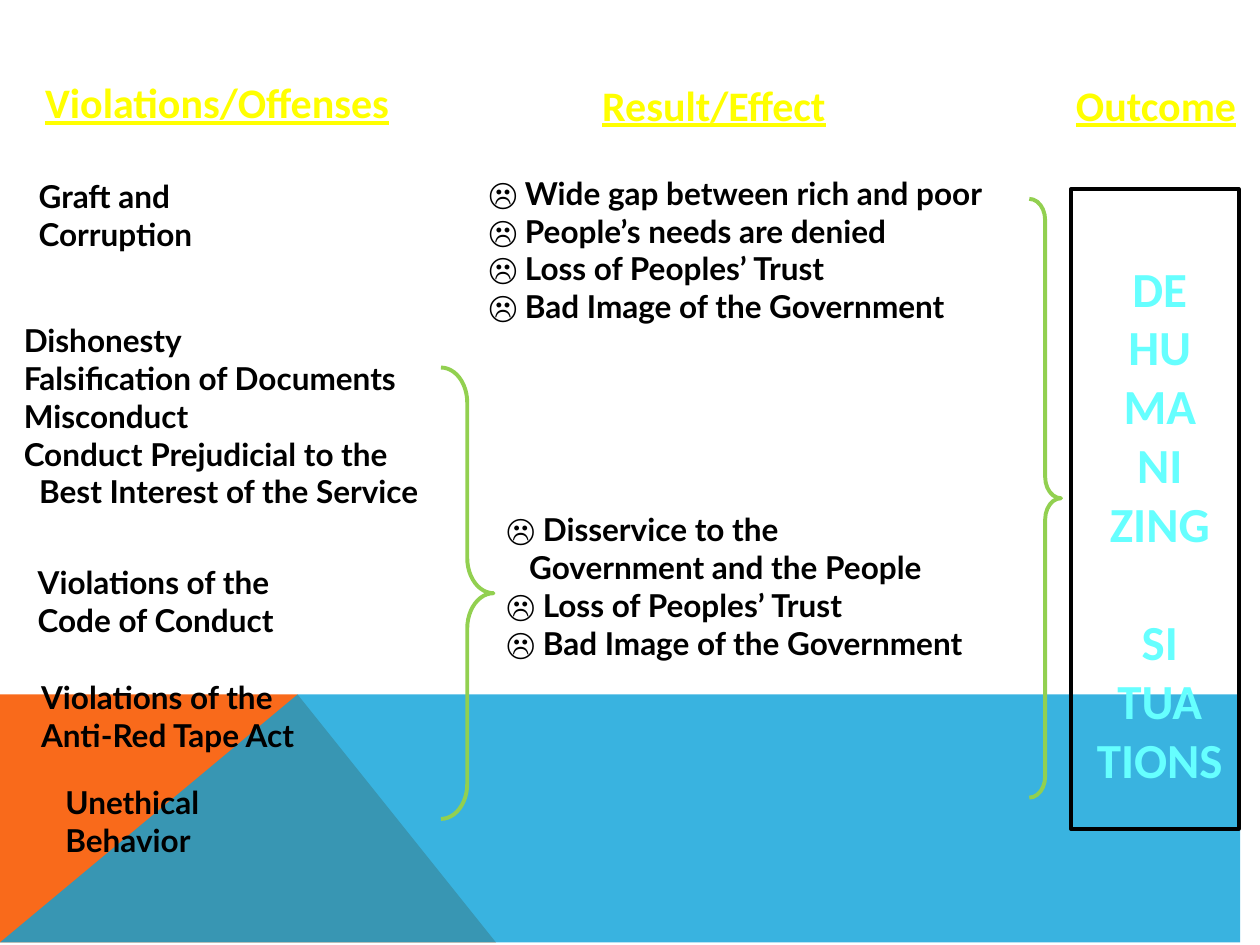
"""Build the slide on violations, their effects and their outcome."""
from dataclasses import dataclass, field

from lxml import etree
from pptx import Presentation
from pptx.dml.color import RGBColor
from pptx.enum.shapes import MSO_SHAPE
from pptx.enum.text import MSO_AUTO_SIZE, PP_ALIGN
from pptx.oxml.ns import qn
from pptx.util import Cm, Pt

BLACK = RGBColor(0x00, 0x00, 0x00)
YELLOW = RGBColor(0xFF, 0xFF, 0x00)
CYAN = RGBColor(0x66, 0xFF, 0xFF)
GREEN = RGBColor(0x92, 0xD0, 0x50)
ORANGE = RGBColor(0xF9, 0x6A, 0x1B)
BLUE = RGBColor(0x08, 0xA1, 0xD9)

RECTANGLE = MSO_SHAPE.RECTANGLE
RIGHT_BRACE = MSO_SHAPE.RIGHT_BRACE
FIT_SHAPE = MSO_AUTO_SIZE.SHAPE_TO_FIT_TEXT
LEFT = PP_ALIGN.LEFT
CENTER = PP_ALIGN.CENTER

WIDTH, HEIGHT, FLOOR_TOP, PEAK = 25.4, 19.05, 14.02, 5.66
SAD = "☹"


@dataclass(frozen=True)
class Style:
    font: str
    size: int
    color: RGBColor
    underline: bool = False
    align: PP_ALIGN = LEFT


@dataclass(frozen=True)
class Block:
    box: tuple[float, float, float, float]
    lines: tuple[str, ...]
    style: Style
    wrap: bool = False
    indents: dict[int, float] = field(default_factory=dict)
    gaps: dict[int, float] = field(default_factory=dict)


HEADING = Style("Calibri", 24, YELLOW, underline=True)
BODY = Style("Lato", 18, BLACK)
OUTCOME = Style("Calibri", 28, CYAN, align=CENTER)

BLOCKS = (
    Block((0.66, 1.42, 7.47, 1.27), ("Violations/Offenses",), HEADING),
    Block((11.89, 1.47, 5.05, 1.27), ("Result/Effect",), HEADING),
    Block((21.44, 1.47, 3.76, 1.27), ("Outcome",), HEADING),
    Block((0.53, 3.45, 3.96, 1.78), ("Graft and", "Corruption"), BODY),
    Block((0.23, 6.35, 9.42, 4.06),
          ("Dishonesty", "Falsification of Documents", "Misconduct",
           "Conduct Prejudicial to the", "Best Interest of the Service"),
          BODY, indents={4: 0.31}),
    Block((0.51, 11.23, 5.87, 1.78), ("Violations of the", "Code of Conduct"), BODY),
    Block((0.58, 13.54, 6.12, 1.78), ("Violations of the", "Anti-Red Tape Act"), BODY),
    Block((1.07, 15.67, 5.08, 1.78), ("Unethical", "Behavior"), BODY, wrap=True),
    Block((9.6, 3.38, 11.63, 3.3),
          (f"{SAD} Wide gap between rich and poor", f"{SAD} People’s needs are denied",
           f"{SAD} Loss of Peoples’ Trust", f"{SAD} Bad Image of the Government"), BODY),
    Block((9.96, 10.16, 10.8, 4.06),
          (f"{SAD} Disservice to the", "Government and the People",
           f"{SAD} Loss of Peoples’ Trust", f"{SAD} Bad Image of the Government"),
          BODY, wrap=True, indents={1: 0.46}),
    Block((21.79, 5.08, 3.18, 10.95),
          ("DE", "HU", "MA", "NI", "ZING", "SI", "TUA", "TIONS"),
          OUTCOME, wrap=True, gaps={5: 34}),
)

BRACES = ((20.75, 4.01, 0.64, 12.07), (8.89, 7.41, 1.06, 9.1))
OUTCOME_FRAME = (21.59, 3.81, 3.38, 12.9)


def add_polygon(s, points: list[tuple[float, float]], color: RGBColor, alpha: int = 100) -> None:
    builder = s.shapes.build_freeform(*points[0], scale=Cm(1))
    builder.add_line_segments(points[1:], close=True)
    sp = builder.convert_to_shape()
    sp.shadow.inherit = False
    sp.fill.solid()
    sp.fill.fore_color.rgb = color
    sp.line.fill.background()
    if alpha < 100:
        clr = sp.fill._xPr.find(qn("a:solidFill")).find(qn("a:srgbClr"))
        etree.SubElement(clr, qn("a:alpha"), val=str(alpha * 1000))


def add_outline(s, kind: MSO_SHAPE, box: tuple[float, ...], color: RGBColor):
    sp = s.shapes.add_shape(kind, *map(Cm, box))
    sp.shadow.inherit = False
    sp.fill.background()
    sp.line.color.rgb = color
    sp.line.width = Pt(2.25)
    return sp


def add_block(s, block: Block) -> None:
    tf = s.shapes.add_textbox(*map(Cm, block.box)).text_frame
    tf.word_wrap = block.wrap
    tf.auto_size = FIT_SHAPE
    style = block.style
    for i, line in enumerate(block.lines):
        p = tf.add_paragraph() if i else tf.paragraphs[0]
        p.alignment = style.align
        if i in block.indents:
            p._p.get_or_add_pPr().set("marL", str(Cm(block.indents[i])))
        if i in block.gaps:
            p.space_before = Pt(block.gaps[i])
        p.font.size = Pt(style.size)
        p.font.bold = True
        p.font.underline = style.underline
        p.font.color.rgb = style.color
        if line.startswith(SAD):
            for text, font in ((SAD, "Arial"), (line.removeprefix(SAD), style.font)):
                r = p.add_run()
                r.text = text
                r.font.name = font
        else:
            p.font.name = style.font
            p.add_run().text = line


def main() -> None:
    prs = Presentation()
    prs.slide_width, prs.slide_height = Cm(WIDTH), Cm(HEIGHT)
    s = prs.slides.add_slide(prs.slide_layouts[6])
    add_polygon(s, [(0, HEIGHT), (0, FLOOR_TOP), (PEAK, FLOOR_TOP), (9.93, HEIGHT)], ORANGE)
    add_polygon(s, [(0, HEIGHT), (PEAK, FLOOR_TOP), (WIDTH, FLOOR_TOP), (WIDTH, HEIGHT)],
                BLUE, alpha=80)
    add_outline(s, RECTANGLE, OUTCOME_FRAME, BLACK)
    for box in BRACES:
        brace = add_outline(s, RIGHT_BRACE, box, GREEN)
        brace.adjustments[0] = 0.67
    for block in BLOCKS:
        add_block(s, block)
    prs.save("out.pptx")


if __name__ == "__main__":
    main()
